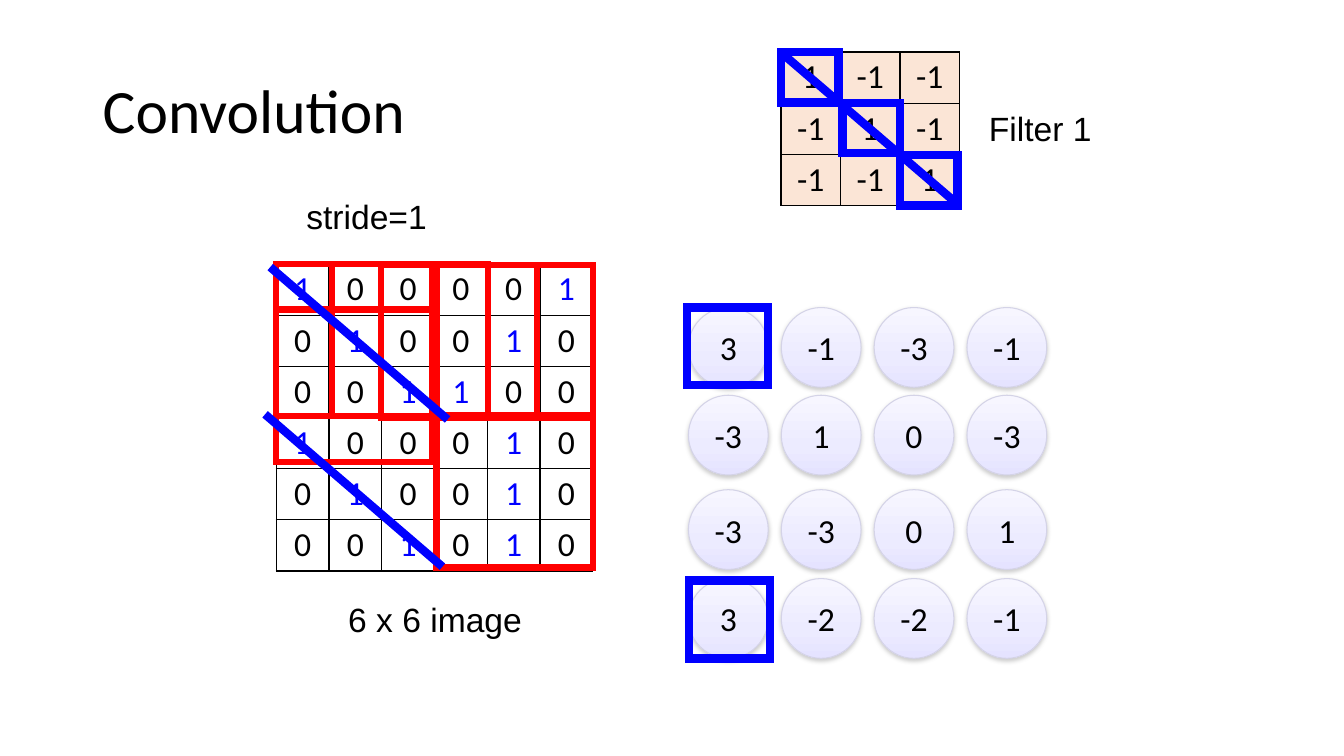
from dataclasses import dataclass

from lxml.etree import SubElement
from pptx import Presentation
from pptx.dml.color import RGBColor
from pptx.enum.shapes import MSO_CONNECTOR, MSO_SHAPE
from pptx.enum.text import MSO_ANCHOR, PP_ALIGN
from pptx.oxml.ns import qn
from pptx.util import Cm, Pt


@dataclass(frozen=True)
class Theme:
    black: str = "000000"
    blue: str = "0000FF"
    red: str = "FF0000"
    peach: str = "FBE5D6"
    circle_stops: tuple = ((0, "F7F6FF"), (65, "ECEBFF"), (100, "E5E3FF"))
    circle_line: str = "D4D3E7"
    shadow: str = "808080"
    math_font: str = "Calibri"
    label_font: str = "Arial"
    title_size: int = 44
    body_size: int = 24
    window_line: float = 4.5
    mark_line: float = 6


@dataclass(frozen=True)
class Label:
    text: str
    left: float
    top: float
    width: float
    height: float
    font: str
    size: int
    align: PP_ALIGN = PP_ALIGN.CENTER
    wrap: bool = True
    anchor: MSO_ANCHOR = MSO_ANCHOR.TOP
    spacing: float = 1.0


@dataclass(frozen=True)
class Matrix:
    left: float
    top: float
    column_width: float
    values: list
    fill: str | None = None
    highlight: str | None = None  # colour of the ones


@dataclass(frozen=True)
class Frames:
    """Equal outlined rectangles, one at each corner point."""
    width: float
    height: float
    color: str
    weight: float
    corners: tuple


THEME = Theme()
ROW_HEIGHT = 1.29

LABELS = [
    Label("Convolution", 2.34, 1.02, 29.21, 3.68, THEME.math_font, THEME.title_size,
          PP_ALIGN.LEFT, anchor=MSO_ANCHOR.MIDDLE, spacing=0.9),
    Label("6 x 6 image", 7.7, 14.96, 6.53, 1.27, THEME.label_font, THEME.body_size),
    Label("Filter 1", 24.21, 2.59, 4.01, 1.3, THEME.label_font, THEME.body_size),
    Label("stride=1", 7.47, 4.8, 3.58, 1.27, THEME.label_font, THEME.body_size,
          PP_ALIGN.LEFT, wrap=False),
]
IMAGE = Matrix(6.96, 6.65, 1.33, [
    [1, 0, 0, 0, 0, 1],
    [0, 1, 0, 0, 1, 0],
    [0, 0, 1, 1, 0, 0],
    [1, 0, 0, 0, 1, 0],
    [0, 1, 0, 0, 1, 0],
    [0, 0, 1, 0, 1, 0],
], highlight=THEME.blue)
FILTER = Matrix(19.68, 1.31, 1.5, [[1, -1, -1], [-1, 1, -1], [-1, -1, 1]], fill=THEME.peach)

FEATURE_MAP = [[3, -1, -3, -1], [-3, 1, 0, -3], [-3, -3, 0, 1], [3, -2, -2, -1]]
CIRCLE_TOPS = (7.75, 9.96, 12.34, 14.58)
CIRCLE_LEFT, CIRCLE_PITCH, CIRCLE_SIZE = 17.35, 2.34, 2.01

FRAMES = [
    Frames(3.94, 3.84, THEME.red, THEME.window_line,
           ((6.96, 6.65), (8.36, 6.65), (9.6, 6.68), (11, 6.68), (6.96, 7.8), (11, 10.46))),
    Frames(1.45, 1.27, THEME.blue, THEME.mark_line,
           ((19.68, 1.31), (21.23, 2.59), (22.68, 3.91))),
    Frames(2.03, 1.96, THEME.blue, THEME.mark_line, ((17.32, 7.75), (17.37, 14.63))),
]
DIAGONAL_WIDTH, DIAGONAL_HEIGHT = 4.47, 3.84
DIAGONAL_STARTS = ((19.68, 1.32), (6.81, 6.73), (6.68, 10.44))


def rgb(color: str) -> RGBColor:
    return RGBColor.from_string(color)


def write(frame, text: str, font: str, size: int, color: str = THEME.black,
          align: PP_ALIGN = PP_ALIGN.CENTER) -> None:
    para = frame.paragraphs[0]
    para.text = text
    para.alignment = align
    para.font.name = font
    para.font.size = Pt(size)
    para.font.color.rgb = rgb(color)


def add_label(page, label: Label) -> None:
    box = page.shapes.add_textbox(Cm(label.left), Cm(label.top), Cm(label.width), Cm(label.height))
    frame = box.text_frame
    frame.word_wrap = label.wrap
    frame.vertical_anchor = label.anchor
    write(frame, label.text, label.font, label.size, align=label.align)
    frame.paragraphs[0].line_spacing = label.spacing


def add_color(parent, color: str):
    return SubElement(parent, qn("a:srgbClr"), val=color)


def add_borders(cell) -> None:
    properties = cell._tc.get_or_add_tcPr()
    for index, side in enumerate(("lnL", "lnR", "lnT", "lnB")):
        border = SubElement(properties, qn(f"a:{side}"), w=str(Pt(1)))
        add_color(SubElement(border, qn("a:solidFill")), THEME.black)
        properties.insert(index, border)


def add_matrix(page, matrix: Matrix) -> None:
    rows, columns = len(matrix.values), len(matrix.values[0])
    table = page.shapes.add_table(
        rows, columns, Cm(matrix.left), Cm(matrix.top),
        Cm(columns * matrix.column_width), Cm(rows * ROW_HEIGHT)).table
    table.first_row = table.horz_banding = False
    for row, values in enumerate(matrix.values):
        for column, value in enumerate(values):
            cell = table.cell(row, column)
            color = matrix.highlight if matrix.highlight and value == 1 else THEME.black
            write(cell.text_frame, str(value), THEME.math_font, THEME.body_size, color)
            if matrix.fill:
                cell.fill.solid()
                cell.fill.fore_color.rgb = rgb(matrix.fill)
            else:
                cell.fill.background()
            add_borders(cell)


def add_circle(page, left: float, top: float, value: int) -> None:
    circle = page.shapes.add_shape(
        MSO_SHAPE.OVAL, Cm(left), Cm(top), Cm(CIRCLE_SIZE), Cm(CIRCLE_SIZE))
    circle.fill.gradient()
    circle.fill.gradient_angle = 270
    properties = circle._element.spPr
    stops = properties.find(f"{qn('a:gradFill')}/{qn('a:gsLst')}")
    for stop in list(stops):
        stops.remove(stop)
    for position, color in THEME.circle_stops:
        add_color(SubElement(stops, qn("a:gs"), pos=str(position * 1000)), color)
    circle.line.color.rgb = rgb(THEME.circle_line)
    circle.line.width = Pt(0.75)
    circle.shadow.inherit = False
    shadow = SubElement(properties.find(qn("a:effectLst")), qn("a:outerShdw"),
                        blurRad="40000", dist="20000", dir="5400000", rotWithShape="0")
    SubElement(add_color(shadow, THEME.shadow), qn("a:alpha"), val="38000")
    circle.text_frame.vertical_anchor = MSO_ANCHOR.MIDDLE
    write(circle.text_frame, str(value), THEME.math_font, THEME.body_size)


def add_frames(page, frames: Frames) -> None:
    for left, top in frames.corners:
        outline = page.shapes.add_shape(
            MSO_SHAPE.RECTANGLE, Cm(left), Cm(top), Cm(frames.width), Cm(frames.height))
        outline.fill.background()
        outline.shadow.inherit = False
        outline.line.color.rgb = rgb(frames.color)
        outline.line.width = Pt(frames.weight)
        SubElement(outline._element.spPr.find(qn("a:ln")), qn("a:miter"), lim="800000")


def add_diagonal(page, left: float, top: float) -> None:
    diagonal = page.shapes.add_connector(
        MSO_CONNECTOR.STRAIGHT, Cm(left), Cm(top),
        Cm(left + DIAGONAL_WIDTH), Cm(top + DIAGONAL_HEIGHT))
    diagonal.line.color.rgb = rgb(THEME.blue)
    diagonal.line.width = Pt(THEME.mark_line)
    SubElement(diagonal._element.spPr, qn("a:effectLst"))


def main() -> None:
    deck = Presentation()
    deck.slide_width, deck.slide_height = Cm(33.87), Cm(19.05)
    page = deck.slides.add_slide(deck.slide_layouts[6])
    for label in LABELS:
        add_label(page, label)
    for matrix in (IMAGE, FILTER):
        add_matrix(page, matrix)
    for top, values in zip(CIRCLE_TOPS, FEATURE_MAP):
        for column, value in enumerate(values):
            add_circle(page, CIRCLE_LEFT + column * CIRCLE_PITCH, top, value)
    for frames in FRAMES:
        add_frames(page, frames)
    for left, top in DIAGONAL_STARTS:
        add_diagonal(page, left, top)
    deck.save("out.pptx")


if __name__ == "__main__":
    main()
